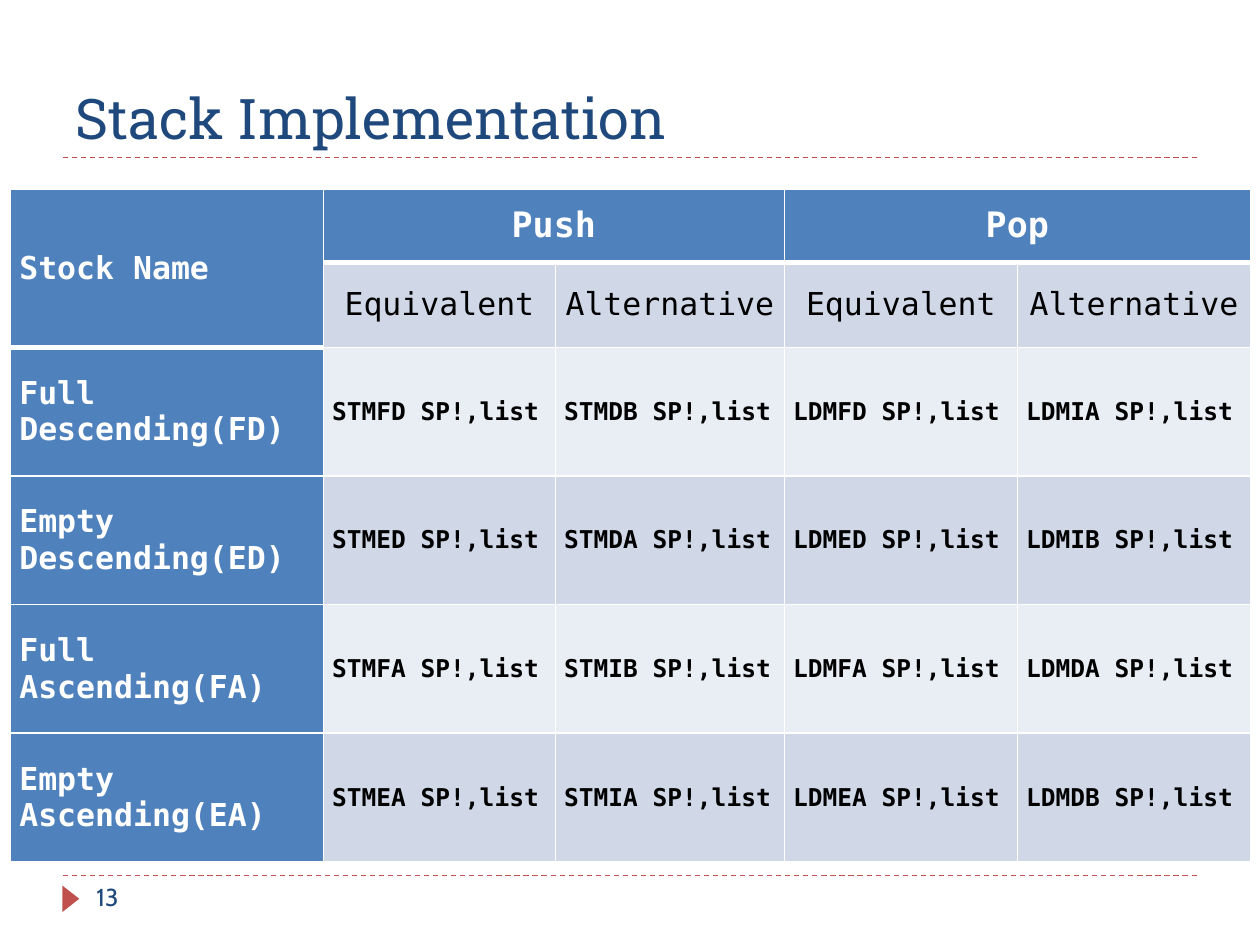
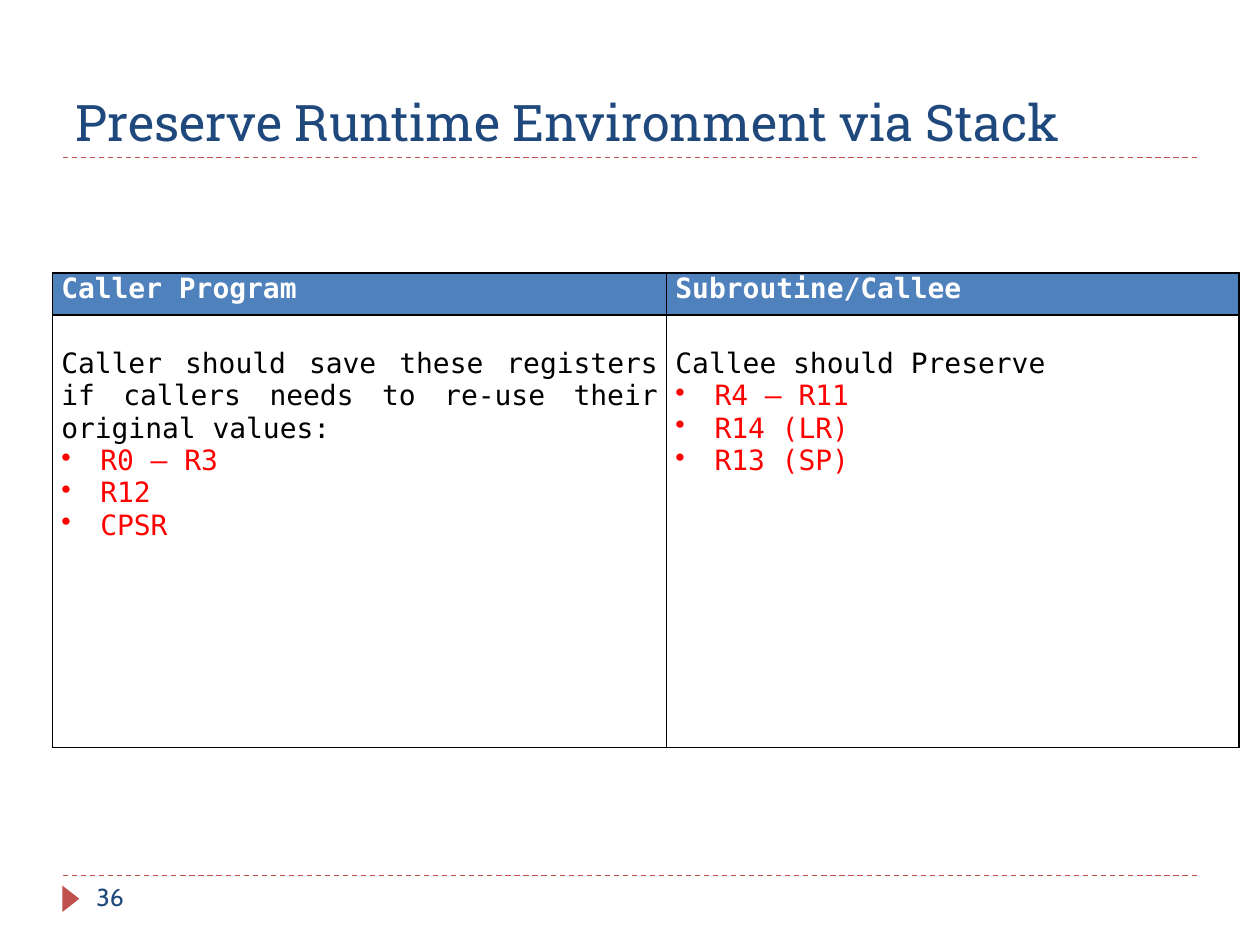
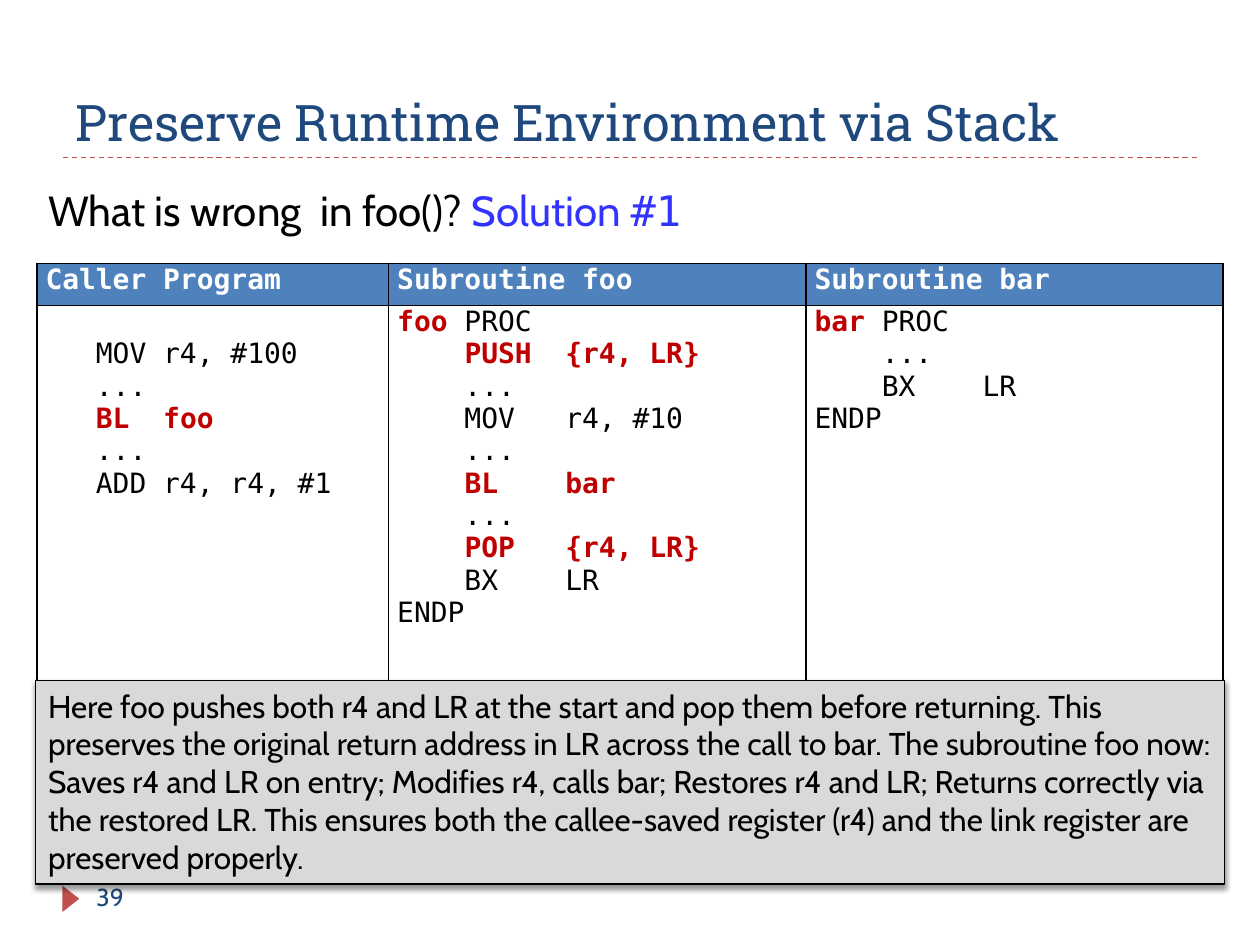
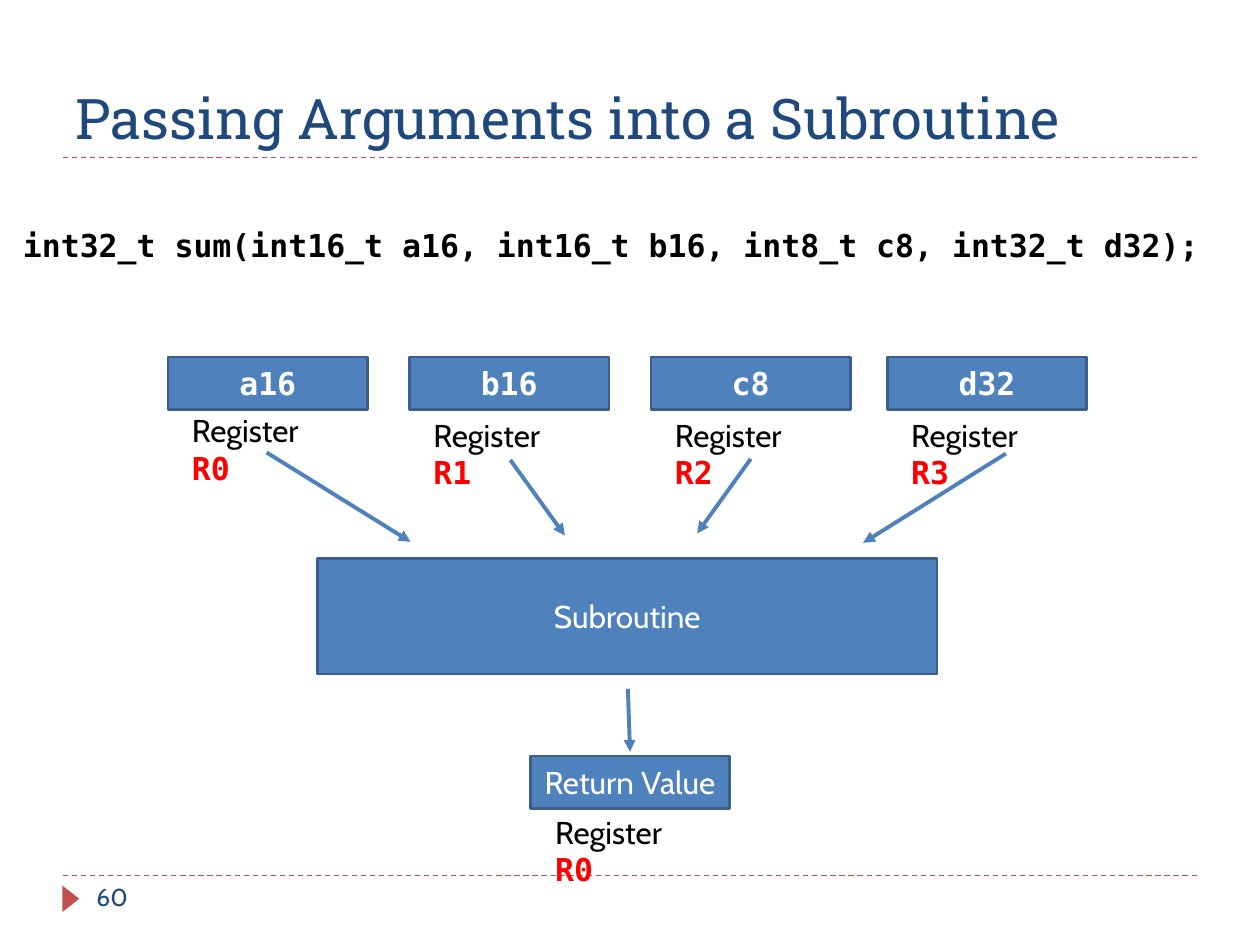
from dataclasses import dataclass
from itertools import cycle

from lxml import etree
from pptx import Presentation
from pptx import util as u
from pptx.dml.color import RGBColor
from pptx.enum import dml, shapes, text
from pptx.oxml import ns

CELL = u.Inches(1) // 12  # the slide is a grid of 120 columns by 90 rows
ALIGN = text.PP_ALIGN
ANCHOR = text.MSO_ANCHOR


@dataclass(frozen=True)
class Theme:
    navy: str = "1F497D"
    blue: str = "4F81BD"
    edge: str = "3A5F8C"
    brick: str = "C0504D"
    band_dark: str = "D0D8E8"
    band_light: str = "E9EDF4"
    grey: str = "D9D9D9"
    white: str = "FFFFFF"
    black: str = "000000"
    red: str = "FF0000"
    code_red: str = "C00000"
    answer: str = "3333FF"
    serif: str = "Roboto Slab"
    sans: str = "Cabin"
    mono: str = "DejaVu Sans Mono"
    title: float = 32
    title_long: float = 28.8
    question: float = 24
    head: float = 20
    body: float = 18
    code: float = 16
    small: float = 14


T = Theme()


def style(name, size, color, bold=False):
    return {"name": name, "size": u.Pt(size), "bold": bold, "color": color}


LABEL = style(T.sans, T.body, T.black)
ON_BLUE = style(T.sans, T.body, T.white)
MONO_ON_BLUE = style(T.mono, T.body, T.white, True)
REGISTER = style(T.mono, T.body, T.red, True)
CODE_HEAD = style(T.mono, T.code, T.white, True)
CODE = style(T.mono, T.code, T.black)
CODE_HOT = style(T.mono, T.code, T.code_red, True)
CODE_RED = style(T.mono, T.code, T.red)


def grid(*cells):
    return [round(c * CELL) for c in cells]


def rgb(color):
    return RGBColor.from_string(color)


def sub(parent, tag, **attrs):
    el = etree.SubElement(parent, ns.qn(tag))
    for key, value in attrs.items():
        el.set(key, str(value))
    return el


def write(tf, lines, styles, align=ALIGN.LEFT):
    """Fill a text frame; '|' moves on to the next style, a leading '• ' makes a bullet."""
    for i, line in enumerate(lines):
        p = tf.paragraphs[0] if i == 0 else tf.add_paragraph()
        p.alignment = align
        if line.startswith("• "):
            line = line[2:]
            pPr = p._p.get_or_add_pPr()
            pPr.set("marL", str(u.Inches(0.31)))
            pPr.set("indent", str(-u.Inches(0.31)))
            sub(pPr, "a:buChar", char="•")
        for part, fmt in zip(line.split("|"), cycle(styles)):
            if part:
                r = p.add_run()
                r.text = part
                for key, value in fmt.items():
                    if key == "color":
                        r.font.color.rgb = rgb(value)
                    else:
                        setattr(r.font, key, value)


def add_label(slide, box, line, *styles, wrap=True):
    tf = slide.shapes.add_textbox(*grid(*box)).text_frame
    tf.word_wrap = wrap
    write(tf, [line], styles)


def add_box(slide, box, line, fmt, fill=T.blue, edge=T.edge, width=1.5,
            anchor=ANCHOR.MIDDLE, align=ALIGN.CENTER):
    sp = slide.shapes.add_shape(shapes.MSO_SHAPE.RECTANGLE, *grid(*box))
    sp.shadow.inherit = False
    sp.fill.solid()
    sp.fill.fore_color.rgb = rgb(fill)
    sp.line.color.rgb = rgb(edge)
    sp.line.width = u.Pt(width)
    sp.text_frame.word_wrap = True
    sp.text_frame.vertical_anchor = anchor
    write(sp.text_frame, [line], [fmt], align)
    return sp


def add_shadow(sp):
    effects = sp._element.spPr.find(ns.qn("a:effectLst"))
    shadow = sub(effects, "a:outerShdw", blurRad=u.Pt(3), dist=u.Pt(2),
                 dir=90 * 60000, rotWithShape=0)
    sub(sub(shadow, "a:srgbClr", val=T.black), "a:alpha", val=40000)


def add_line(slide, ends, color, width):
    ln = slide.shapes.add_connector(shapes.MSO_CONNECTOR.STRAIGHT, *grid(*ends))
    ln.line.color.rgb = rgb(color)
    ln.line.width = u.Pt(width)
    sub(ln._element.spPr, "a:effectLst")
    return ln


def add_arrow(slide, *ends):
    ln = add_line(slide, ends, T.blue, 2.25)
    sub(ln.line._get_or_add_ln(), "a:tailEnd", type="triangle")


def add_slide(prs, title, number, size=T.title, footer_rule=True):
    slide = prs.slides.add_slide(prs.slide_layouts[5])
    for y in (83.4, 15) if footer_rule else (15,):
        add_line(slide, (6, y, 114, y), T.brick, 0.75).line.dash_style = dml.MSO_LINE.DASH
    marker = slide.shapes.add_shape(shapes.MSO_SHAPE.ISOSCELES_TRIANGLE,
                                    *grid(5.5, 84.8, 2.5, 1.6))
    marker.rotation = 90
    marker.shadow.inherit = False
    marker.fill.solid()
    marker.fill.fore_color.rgb = rgb(T.brick)
    marker.line.fill.background()

    sp = slide.shapes.title
    sp.left, sp.top, sp.width, sp.height = grid(6, 2, 108, 13)
    tf = sp.text_frame
    tf.auto_size = text.MSO_AUTO_SIZE.NONE
    tf.vertical_anchor = ANCHOR.BOTTOM
    write(tf, [title], [style(T.serif, size, T.navy)])
    add_label(slide, (8, 83.4, 26, 4.8), number, style(T.sans, T.small, T.navy))
    return slide


def add_grid_table(slide, left, top, cols, rows):
    table = slide.shapes.add_table(len(rows), len(cols),
                                   *grid(left, top, sum(cols), sum(rows))).table
    table.first_row = table.horz_banding = False
    for col, width in zip(table.columns, grid(*cols)):
        col.width = width
    for row, height in zip(table.rows, grid(*rows)):
        row.height = height
    return table


def format_cell(cell, fill, border, top=1, bottom=1, anchor=ANCHOR.TOP, margin_top=0):
    margins = {"margin_left": u.Inches(0.07), "margin_right": u.Inches(0.07),
               "margin_top": round(margin_top * CELL), "margin_bottom": 0,
               "vertical_anchor": anchor}
    for key, value in margins.items():
        setattr(cell, key, value)
    if fill:
        cell.fill.solid()
        cell.fill.fore_color.rgb = rgb(fill)
    else:
        cell.fill.background()
    tcPr = cell._tc.get_or_add_tcPr()
    for i, (side, width) in enumerate(zip("LRTB", (1, 1, top, bottom))):
        ln = sub(tcPr, f"a:ln{side}", w=u.Pt(width))
        sub(sub(ln, "a:solidFill"), "a:srgbClr", val=border)
        tcPr.insert(i, ln)


def add_stack_table(slide):
    names = {"FD": ("Full Descending", "DB", "IA"), "ED": ("Empty Descending", "DA", "IB"),
             "FA": ("Full Ascending", "IB", "DA"), "EA": ("Empty Ascending", "IA", "DB")}
    rows = [["Stock Name", "Push", "", "Pop", ""],
            [""] + ["Equivalent", "Alternative"] * 2]
    for code, (name, push, pop) in names.items():
        ops = (f"STM{code}", f"STM{push}", f"LDM{code}", f"LDM{pop}")
        rows.append([f"{name}({code})"] + [f"{op} SP!,list" for op in ops])

    table = add_grid_table(slide, 1, 18, (29.8, 22.1, 21.8, 22.2, 22.2),
                           [7, 8.1] + [12.25] * 4)
    heavy = {(0, c) for c in range(5)} | {(1, 0)}  # cells with a thick lower edge
    for r, row in enumerate(rows):
        for c, value in enumerate(row):
            fill, align = (T.band_dark, T.band_light)[(r + 1) % 2], ALIGN.JUSTIFY
            fmt = style(T.mono, T.small, T.black, True)
            if c == 0:
                fill, align, fmt = T.blue, ALIGN.LEFT, MONO_ON_BLUE
            elif r == 0:
                fill, align, fmt = T.blue, ALIGN.CENTER, style(T.mono, T.head, T.white, True)
            elif r == 1:
                align, fmt = ALIGN.CENTER, style(T.mono, T.body, T.black)
            cell = table.cell(r, c)
            format_cell(cell, fill, T.white, 3 if (r - 1, c) in heavy else 1,
                        3 if (r, c) in heavy else 1, ANCHOR.MIDDLE)
            if value:
                write(cell.text_frame, [value], [fmt], align)
    for first, last in (((0, 0), (1, 0)), ((0, 1), (0, 2)), ((0, 3), (0, 4))):
        table.cell(*first).merge(table.cell(*last))


def add_program_table(slide, left, top, cols, programs, hot):
    """One column per program: (heading, lines, lowering of the first line)."""
    table = add_grid_table(slide, left, top, cols, (4, 41.2))
    for c, (heading, lines, lowered) in enumerate(programs):
        head, body = table.cell(0, c), table.cell(1, c)
        format_cell(head, T.blue, T.black)
        write(head.text_frame, [heading], [CODE_HEAD], ALIGN.JUSTIFY)
        format_cell(body, None, T.black, margin_top=lowered)
        write(body.text_frame, lines, [CODE, hot], ALIGN.JUSTIFY)


def add_register(slide, left, top, name):
    add_label(slide, (left, top, 16.7, 4.8), f"Register |{name}", LABEL, REGISTER)


def add_argument_flow(slide):
    arguments = (("a16", 16, 38.6), ("b16", 39, 39), ("c8", 62, 39), ("d32", 84.5, 39))
    for i, (name, left, label_top) in enumerate(arguments):
        add_box(slide, (left, 34, 19, 5), name, MONO_ON_BLUE)
        add_register(slide, left + 1.1, label_top, f"R{i}")
    add_box(slide, (30.25, 53.2, 59, 11), "Subroutine", ON_BLUE)
    add_box(slide, (50.5, 72, 19, 5), "Return Value", ON_BLUE)
    add_register(slide, 51.7, 76.8, "R0")
    for ends in ((25.4, 43.1, 39.1, 51.6), (48.6, 43.8, 53.8, 51),
                 (71.5, 43.7, 66.4, 50.8), (95.8, 43.2, 82.2, 51.7),
                 (59.8, 65.6, 60, 71.6)):
        add_arrow(slide, *ends)


def main():
    prs = Presentation()
    prs.slide_width, prs.slide_height = grid(120, 90)
    preserve = "Preserve Runtime Environment via Stack"
    line = 3.1  # height of one line of code

    add_stack_table(add_slide(prs, "Stack Implementation", "13"))

    slide = add_slide(prs, preserve, "36", T.title_long)
    add_program_table(slide, 5, 26, (58.5, 54.5), (
        ("Caller Program",
         ["Caller should save these registers if callers needs to re-use "
          "their original values:", "• |R0 – R3", "• |R12", "• |CPSR"], line),
        ("Subroutine/Callee",
         ["Callee should Preserve", "• |R4 – R11", "• |R14 (LR)", "• |R13 (SP)"], line),
    ), CODE_RED)

    slide = add_slide(prs, preserve, "39", T.title_long, footer_rule=False)
    add_program_table(slide, 3.5, 25.1, (33.5, 39.75, 39.75), (
        ("Caller Program",
         ["   MOV r4, #100", "   ...", "   |BL  foo", "   ...", "   ADD r4, r4, #1"], line),
        ("Subroutine foo",
         ["|foo| PROC", "    |PUSH  {r4, LR}", "    ...", "    MOV   r4, #10", "    ...",
          "    |BL    bar", "    ...", "    |POP   {r4, LR}", "    BX    LR", "ENDP"], 0),
        ("Subroutine bar", ["|bar| PROC", "    ...", "    BX    LR", "ENDP"], 0),
    ), CODE_HOT)
    add_label(slide, (3.4, 17, 64.8, 6), "What is wrong  in foo()? |Solution |#1",
              style(T.sans, T.question, T.black), style(T.sans, T.question, T.answer),
              style(T.mono, T.question, T.answer), wrap=False)
    note = add_box(
        slide, (3.4, 64.8, 113.2, 19.4),
        "Here foo pushes both r4 and LR at the start and pop them before returning. "
        "This preserves the original return address in LR across the call to bar. "
        "The subroutine foo now: Saves r4 and LR on entry; Modifies r4, calls bar; "
        "Restores r4 and LR; Returns correctly via the restored LR. This ensures both "
        "the callee-saved register (r4) and the link register are preserved properly.",
        LABEL, T.grey, T.black, 0.75, ANCHOR.TOP, ALIGN.LEFT)
    add_shadow(note)

    slide = add_slide(prs, "Passing Arguments into a Subroutine", "60")
    add_argument_flow(slide)
    add_label(slide, (1, 20.9, 120.2, 4.8),
              "int32_t sum(int16_t a16, int16_t b16, int8_t c8, int32_t d32);",
              style(T.mono, T.body, T.black, True))

    prs.save("out.pptx")


if __name__ == "__main__":
    main()
